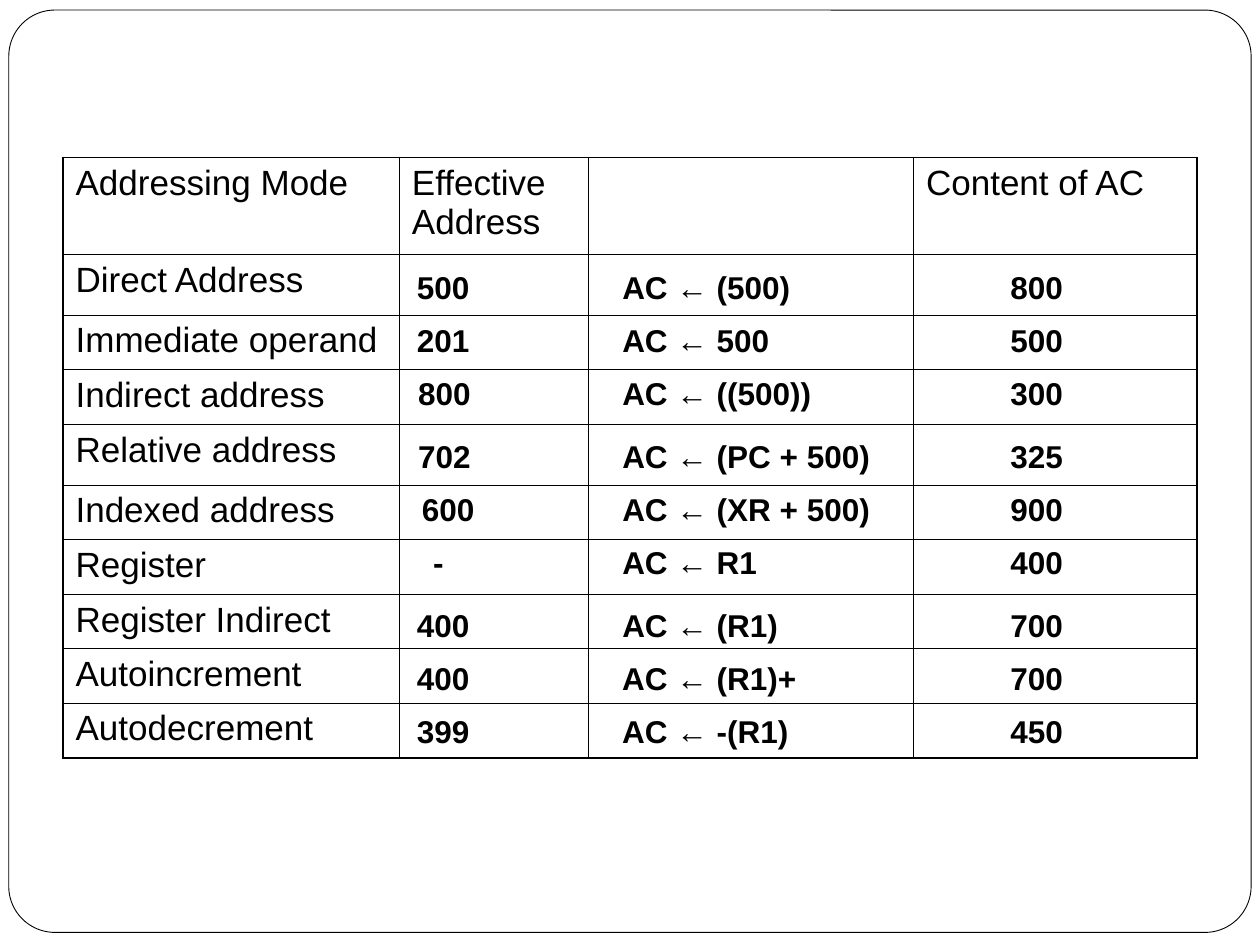
from dataclasses import dataclass

from lxml import etree
from pptx import Presentation
from pptx.dml.color import RGBColor
from pptx.enum.shapes import MSO_SHAPE
from pptx.enum.text import MSO_AUTO_SIZE
from pptx.oxml.ns import qn
from pptx.util import Inches, Pt

ROUND_RECT = MSO_SHAPE.ROUNDED_RECTANGLE
FIT_SHAPE = MSO_AUTO_SIZE.SHAPE_TO_FIT_TEXT


@dataclass(frozen=True)
class Theme:
    ink: str = "000000"
    paper: str = "FFFFFF"
    font: str = "Arial"
    label_size: float = 20
    value_size: float = 18
    frame_line: float = 0.5
    inner_line: float = 0.45
    outer_line: float = 1.08


THEME = Theme()
HEADERS = ("Addressing Mode", "Effective Address", "", "Content of AC")
COL_WIDTHS = (2.67, 1.5, 2.58, 2.25)
ROW_HEIGHTS = (0.77, 0.48, 0.43, 0.44, 0.48, 0.43, 0.44, 0.43, 0.43, 0.44)

# Mode, effective address, its shift, operation, operation width, content of AC
MODES = (
    ("Direct Address", "500", 0, "AC ← (500)", 1.55, "800"),
    ("Immediate operand", "201", 0, "AC ← 500", 1.45, "500"),
    ("Indirect address", "800", 0.01, "AC ← ((500))", 1.72, "300"),
    ("Relative address", "702", 0.01, "AC ← (PC + 500)", 2.18, "325"),
    ("Indexed address", "600", 0.04, "AC ← (XR + 500)", 2.18, "900"),
    ("Register", "-", 0.13, "AC ← R1", 1.29, "400"),
    ("Register Indirect", "400", 0, "AC ← (R1)", 1.45, "700"),
    ("Autoincrement", "400", 0, "AC ← (R1)+", 1.6, "700"),
    ("Autodecrement", "399", 0, "AC ← -(R1)", 1.54, "450"),
)


def add_run(p, text, size, bold=False):
    r = p.add_run()
    r.text = text
    r.font.name = THEME.font
    r.font.size = Pt(size)
    r.font.bold = bold
    r.font.color.rgb = RGBColor.from_string(THEME.ink)


def add_frame(slide, x, y, w, h):
    s = slide.shapes.add_shape(ROUND_RECT, Inches(x), Inches(y), Inches(w), Inches(h))
    s.adjustments[0] = 0.05
    s.shadow.inherit = False
    s.fill.solid()
    s.fill.fore_color.rgb = RGBColor.from_string(THEME.paper)
    s.line.color.rgb = RGBColor.from_string(THEME.ink)
    s.line.width = Pt(THEME.frame_line)


def set_border(cell, side, width):
    tc_pr = cell._tc.get_or_add_tcPr()
    ln = etree.SubElement(tc_pr, qn(f"a:ln{side}"), w=str(Pt(width)))
    fill = etree.SubElement(ln, qn("a:solidFill"))
    etree.SubElement(fill, qn("a:srgbClr"), val=THEME.ink)


def add_mode_table(slide, x, y):
    rows, cols = len(ROW_HEIGHTS), len(COL_WIDTHS)
    table = slide.shapes.add_table(
        rows, cols, Inches(x), Inches(y),
        Inches(sum(COL_WIDTHS)), Inches(sum(ROW_HEIGHTS))).table
    table.first_row = table.horz_banding = False
    for column, width in zip(table.columns, COL_WIDTHS):
        column.width = Inches(width)
    for row, height in zip(table.rows, ROW_HEIGHTS):
        row.height = Inches(height)

    labels = {(0, c): text for c, text in enumerate(HEADERS)}
    labels.update({(r, 0): mode[0] for r, mode in enumerate(MODES, 1)})
    for r in range(rows):
        for c in range(cols):
            cell = table.cell(r, c)
            # Heavier lines run round the outside
            outer = {"L": c == 0, "R": c == cols - 1, "T": r == 0, "B": r == rows - 1}
            for side, is_outer in outer.items():
                set_border(cell, side, THEME.outer_line if is_outer else THEME.inner_line)
            cell.fill.background()
            if labels.get((r, c)):
                add_run(cell.text_frame.paragraphs[0], labels[r, c], THEME.label_size)


def add_value(slide, text, x, y, w):
    box = slide.shapes.add_textbox(Inches(x), Inches(y), Inches(w), Inches(0.4))
    tf = box.text_frame
    tf.word_wrap = False
    tf.auto_size = FIT_SHAPE
    add_run(tf.paragraphs[0], text, THEME.value_size, bold=True)


def add_mode_values(slide, x, y):
    """Lay the values over the table in three groups of three rows."""
    number_width, dash_width = 0.63, 0.3
    for i, (_, address, shift, operation, op_width, content) in enumerate(MODES):
        group, step = divmod(i, 3)
        top = y + 0.83 + 1.34 * group + 0.42 * step
        address_width = dash_width if address == "-" else number_width
        add_value(slide, address, x + 2.71 + shift, top, address_width)
        add_value(slide, operation, x + 4.34, top, op_width)
        add_value(slide, content, x + 7.42, top, number_width)


def main():
    prs = Presentation()
    prs.slide_width, prs.slide_height = Inches(10), Inches(7.5)
    slide = prs.slides.add_slide(prs.slide_layouts[6])
    add_frame(slide, 0.07, 0.08, 9.86, 7.32)
    add_mode_table(slide, 0.5, 1.25)
    add_mode_values(slide, 0.5, 1.25)
    prs.save("out.pptx")


if __name__ == "__main__":
    main()
